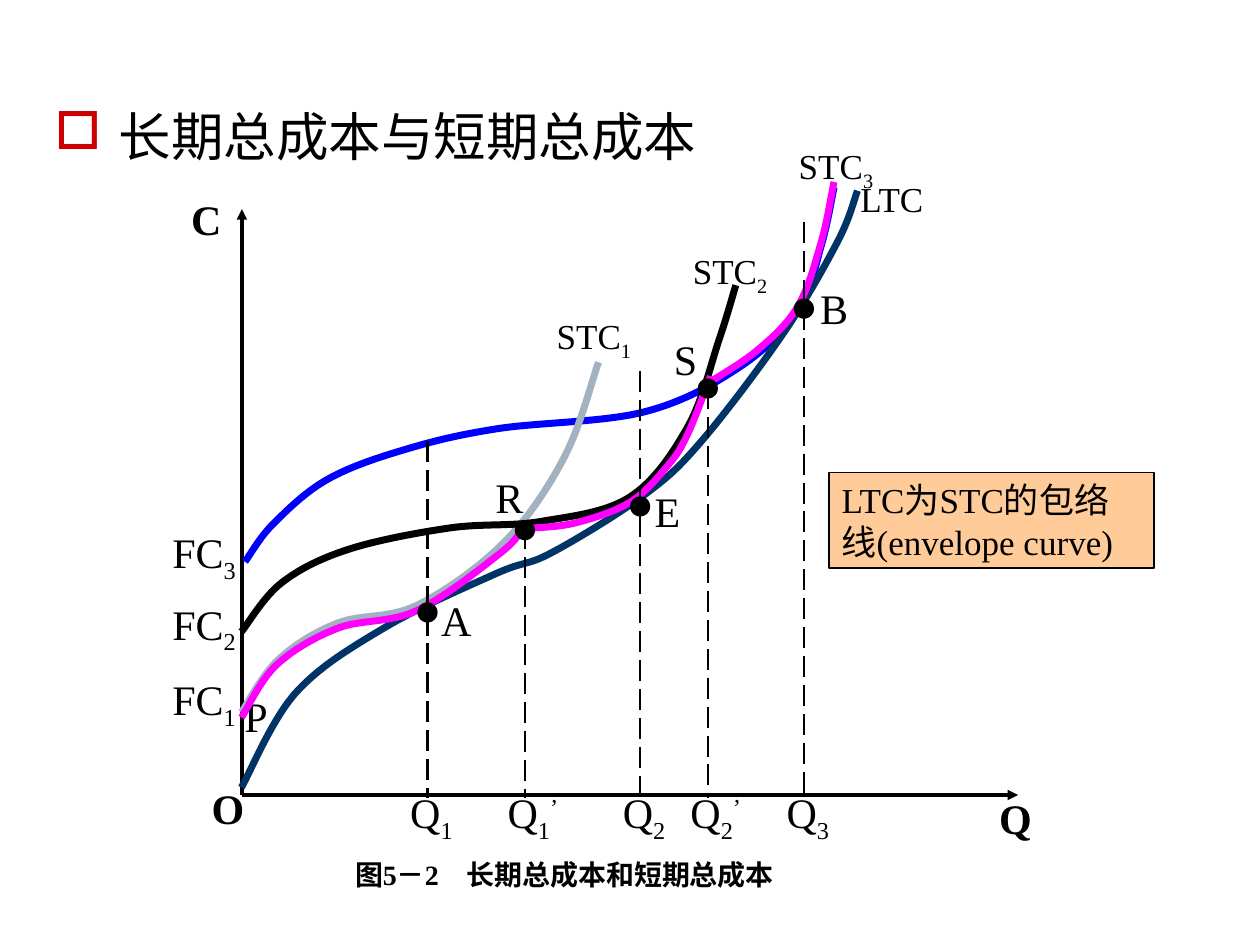
from pptx import Presentation
from pptx.dml.color import RGBColor
from pptx.enum.dml import MSO_LINE
from pptx.enum.shapes import MSO_CONNECTOR, MSO_SHAPE
from pptx.enum.text import MSO_ANCHOR, PP_ALIGN
from pptx.oxml.ns import qn
from pptx.oxml.xmlchemy import OxmlElement
from pptx.util import Pt

STRAIGHT = MSO_CONNECTOR.STRAIGHT
OVAL, RECT = MSO_SHAPE.OVAL, MSO_SHAPE.RECTANGLE
LONG_DASH = MSO_LINE.LONG_DASH
TOP, LEFT = MSO_ANCHOR.TOP, PP_ALIGN.LEFT

THEME = {
    "latin": "Times New Roman", "cjk": "Noto Sans CJK SC",
    "black": RGBColor.from_string("000000"), "bullet": "CC0000",
    "stc1": RGBColor.from_string("A3B2C1"), "stc2": RGBColor.from_string("000000"),
    "stc3": RGBColor.from_string("0000FF"), "ltc": RGBColor.from_string("003366"),
    "path": RGBColor.from_string("FF00FF"), "callout": RGBColor.from_string("FFCC99"),
    "title": 30, "label": 24, "curve": 20, "caption": 16,
}


def write(sp, text, size, font=THEME["latin"], bold=False, sub="", sup="", wrap=False, hang=0, bullet=""):
    tf = sp.text_frame
    tf.word_wrap = wrap
    tf.vertical_anchor = TOP
    p = tf.paragraphs[0]
    p.alignment = LEFT
    pPr = p._p.get_or_add_pPr()
    if hang:
        pPr.set("marL", str(Pt(hang)))
        pPr.set("indent", str(-Pt(hang)))
    if bullet:
        color = OxmlElement("a:buClr")
        rgb = OxmlElement("a:srgbClr")
        rgb.set("val", THEME["bullet"])
        color.append(rgb)
        mark = OxmlElement("a:buChar")
        mark.set("char", bullet)
        pPr.extend([color, mark])
    for part, baseline in ((text, 0), (sub, -25000), (sup, 30000)):
        if not part:
            continue
        r = p.add_run()
        r.text = part
        r.font.name = font
        r.font.size = Pt(size)
        r.font.bold = bold
        r.font.color.rgb = THEME["black"]
        rPr = r._r.get_or_add_rPr()
        if baseline:
            rPr.set("baseline", str(baseline))
        ea = OxmlElement("a:ea")
        ea.set("typeface", THEME["cjk"])
        rPr.find(qn("a:latin")).addnext(ea)


def add_line(shapes, x1, y1, x2, y2, width):
    sp = shapes.add_connector(STRAIGHT, Pt(x1), Pt(y1), Pt(x2), Pt(y2))
    sp.line.color.rgb = THEME["black"]
    sp.line.width = Pt(width)
    sp._element.spPr.append(OxmlElement("a:effectLst"))
    return sp


prs = Presentation()
prs.slide_width, prs.slide_height = Pt(720), Pt(540)
slide = prs.slides.add_slide(prs.slide_layouts[5])

title = slide.shapes.title
title.left, title.top, title.width, title.height = Pt(24), Pt(60), Pt(672), Pt(52)
write(title, "长期总成本与短期总成本", THEME["title"], font=THEME["cjk"], wrap=True, hang=36.72, bullet="□")
title.text_frame.paragraphs[0].line_spacing = 0.9

diagram = slide.shapes.add_group_shape().shapes
origin_x, origin_y = 138.2, 454.3

tangencies = [
    ("A", 245, 336, "1", "", 244.3, 252, 350),
    ("R", 276, 266, "1", "’", 300, 302, 303),
    ("E", 367, 274, "2", "", 365.8, 212, 289.4),
    ("S", 378, 187, "2", "’", 404.5, 222, 222),
    ("B", 461.5, 158, "3", "", 459.4, 127, 176.4),
]
labels = [
    ("STC", "3", "", 449.3, 79.2, "curve", False),
    ("STC", "2", "", 388.8, 139, "curve", False),
    ("STC", "1", "", 311, 176.4, "curve", False),
    ("LTC", "", "", 484.6, 97.9, "curve", False),
    ("C", "", "", 102.2, 107.3, "label", True),
    ("O", "", "", 113.8, 443.5, "label", True),
    ("Q", "", "", 563.8, 449.3, "label", True),
    ("P", "", "", 132.5, 391, "label", False),
]
for sub, y in zip("321", (297.4, 338.4, 381.6)):
    labels.append(("FC", sub, "", 91.4, y, "label", False))
for name, x, y, sub, sup, quantity, top, cost in tangencies:
    labels.append((name, "", "", x, y, "label", False))
    labels.append(("Q", sub, sup, quantity - 17, 446, "label", False))

for text, sub, sup, x, y, style, bold in labels:
    size = THEME[style]
    width = 16 + size * (0.7 * len(text) + 0.35 * len(sub + sup))
    height = 7.2 + size * (1.38 if sub else 1.2)
    sp = diagram.add_textbox(Pt(x), Pt(y), Pt(width), Pt(height))
    write(sp, text, size, bold=bold, sub=sub, sup=sup)

for x, y in ((origin_x, 119.5), (581.8, origin_y)):
    axis = add_line(diagram, origin_x, origin_y, x, y, 2)
    arrow = OxmlElement("a:tailEnd")
    arrow.set("type", "triangle")
    axis.line._get_or_add_ln().append(arrow)

curves = [
    ("stc3", [(140, 321), (156, 299.5), (187, 274), (231, 257), (284, 245),
              (368, 235.4), (423, 209.5), (456, 177), (469.4, 140), (476.6, 107)]),
    ("ltc", [(138, 450), (169, 396), (220, 358.6), (284, 327.6), (315, 316),
             (368, 283), (401, 252), (448, 190), (479, 137.5), (490, 109)]),
    ("stc1", [(138, 407), (159, 377), (193, 356), (238, 346), (288, 310), (322.6, 261), (342, 207)]),
    ("stc2", [(138, 361), (161, 333), (199, 314), (257, 301.7), (309, 298),
              (360, 284), (393, 244), (411, 194), (420.5, 163)]),
    ("path", [(138, 410), (158, 380), (193, 359), (238, 349), (286, 316), (299.5, 301)]),
    ("path", [(299.5, 302), (328, 299), (360, 287), (381.6, 266), (393, 248), (406, 215)]),
    ("path", [(403, 220), (433, 200), (456, 175), (469.4, 138), (476.6, 104)]),
]
for color, knots in curves:
    padded = [knots[0], *knots, knots[-1]]
    points = []
    for before, a, b, after in zip(padded, padded[1:], padded[2:], padded[3:]):
        points.append([Pt(a[k] + (b[k] - before[k]) / 6) for k in (0, 1)])
        points.append([Pt(b[k] - (after[k] - a[k]) / 6) for k in (0, 1)])
        points.append([Pt(b[k]) for k in (0, 1)])
    builder = diagram.build_freeform(Pt(knots[0][0]), Pt(knots[0][1]))
    builder.add_line_segments(points, close=False)
    sp = builder.convert_to_shape()
    sp.shadow.inherit = False
    sp.fill.background()
    sp.line.color.rgb = THEME[color]
    sp.line.width = Pt(4)
    outline = next(sp._element.iter(qn("a:path")))
    steps = outline.findall(qn("a:lnTo"))
    for i in range(0, len(steps), 3):
        bezier = OxmlElement("a:cubicBezTo")
        for step in steps[i:i + 3]:
            bezier.append(step[0])
            outline.remove(step)
        outline.append(bezier)

dot = 11.5
for name, x, y, sub, sup, quantity, top, cost in tangencies:
    add_line(diagram, quantity, top, quantity, 456, 1.5).line.dash_style = LONG_DASH
    sp = diagram.add_shape(OVAL, Pt(quantity - dot / 2), Pt(cost - dot / 2), Pt(dot), Pt(dot))
    sp.shadow.inherit = False
    sp.fill.solid()
    sp.fill.fore_color.rgb = THEME["black"]
    sp.line.fill.background()

callout = slide.shapes.add_shape(RECT, Pt(473.8), Pt(270), Pt(185.8), Pt(54.7))
callout.shadow.inherit = False
callout.fill.solid()
callout.fill.fore_color.rgb = THEME["callout"]
callout.line.color.rgb = THEME["black"]
callout.line.width = Pt(1)
write(callout, "LTC为STC的包络线(envelope curve)", THEME["curve"], wrap=True)

caption = slide.shapes.add_textbox(Pt(195.8), Pt(486.7), Pt(260.6), Pt(46))
write(caption, "图5－2　长期总成本和短期总成本", THEME["caption"], bold=True, wrap=True, hang=36)

prs.save("out.pptx")
